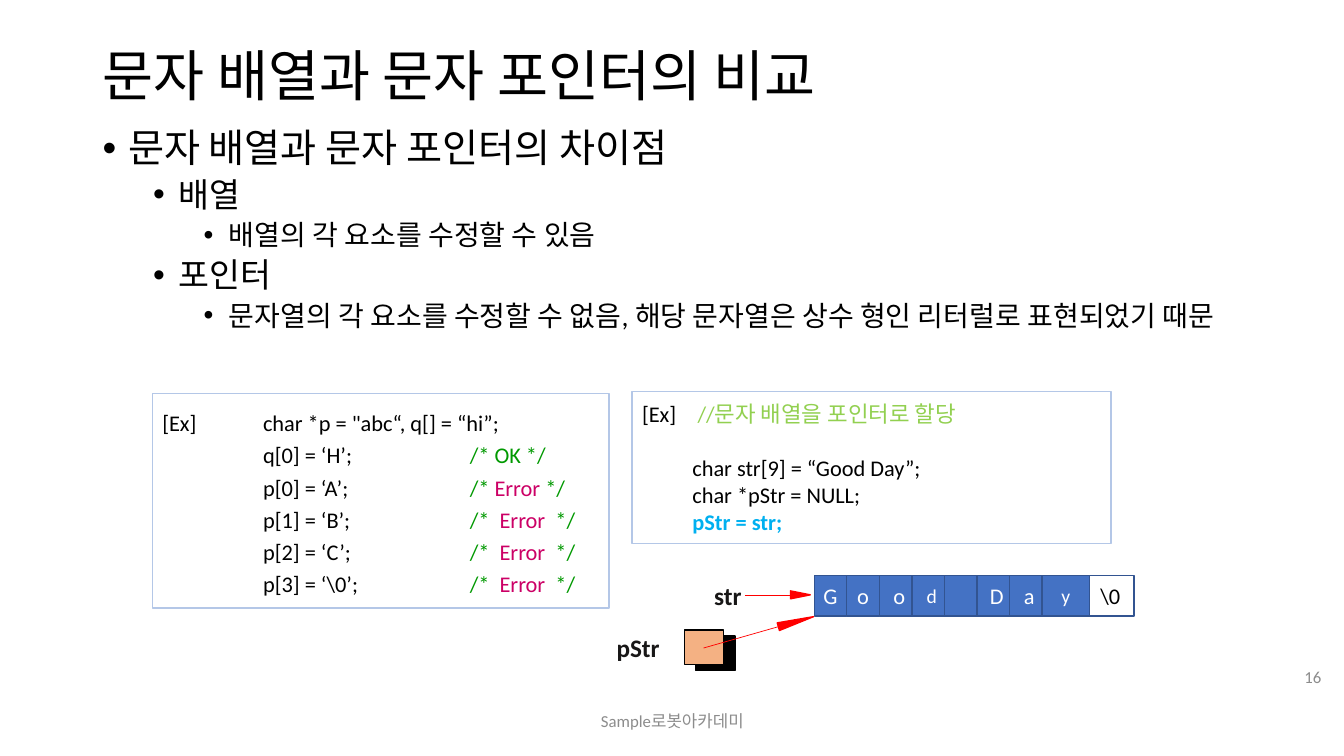
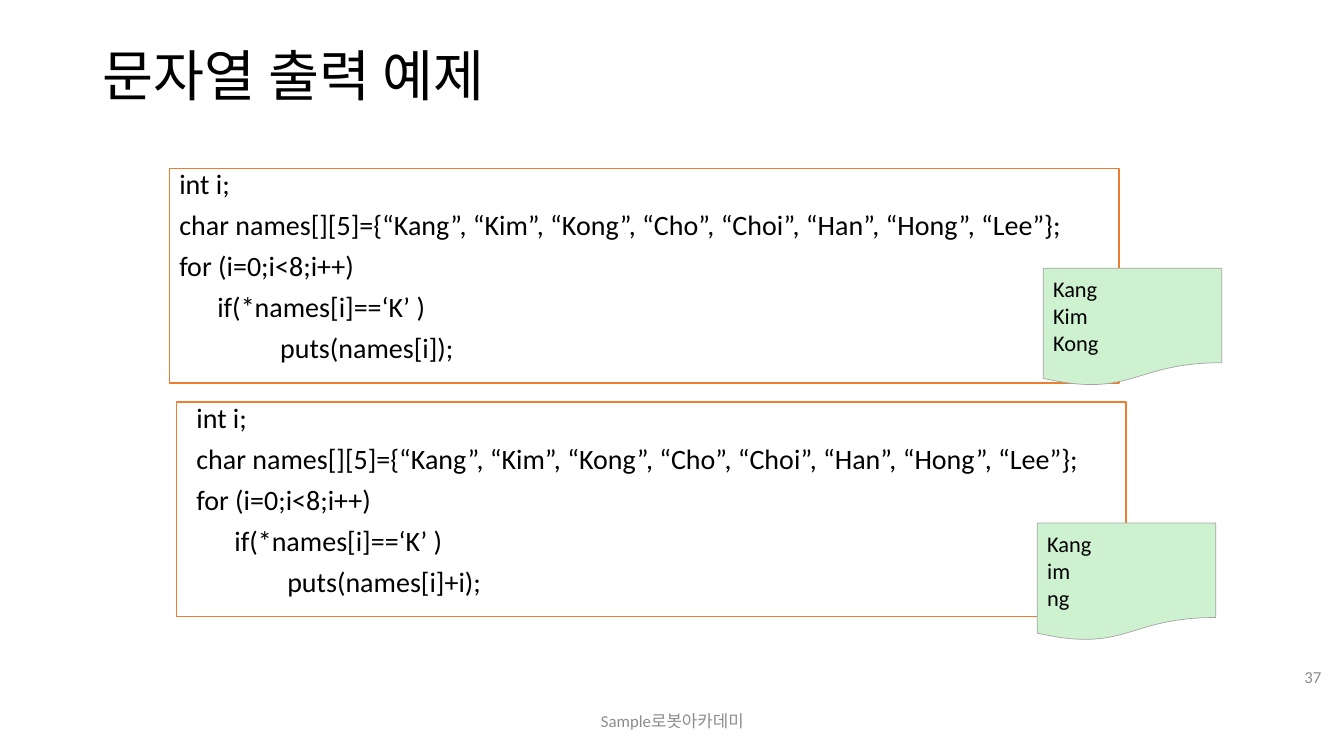
from dataclasses import dataclass
from math import atan2, cos, degrees, sin

from lxml.etree import SubElement as Sub
from pptx import Presentation
from pptx.dml.color import RGBColor as RGB
from pptx.enum.shapes import MSO_CONNECTOR as Link, MSO_SHAPE as Form
from pptx.enum.text import MSO_ANCHOR as Anchor, MSO_AUTO_SIZE as Auto, PP_ALIGN as Align
from pptx.oxml.ns import qn
from pptx.util import Cm, Pt


@dataclass(frozen=True)
class Theme:
    """Hold the colours, type sizes and font of the deck."""
    font: str = "Calibri"
    ink: str = "000000"
    white: str = "FFFFFF"
    gray: str = "8C8C8C"
    label: str = "181717"
    green: str = "009900"
    pink: str = "CC0066"
    lime: str = "92D050"
    sky: str = "00B0F0"
    frame: str = "B4C7E7"
    blue: str = "4472C4"
    navy: str = "325491"
    peach: str = "F4B183"
    red: str = "FF0000"
    orange: str = "ED7D31"
    mint: str = "CEF2CF"
    silver: str = "A5A5A5"
    title: float = 39.6
    levels: tuple = (28, 24, 20)
    code: int = 20
    name: int = 18
    text: int = 16
    small: int = 14
    foot: int = 12


THEME = Theme()


def style(para, size, color=THEME.ink, bold=False):
    """Format every run of a paragraph."""
    for run in para.runs:
        font = run.font
        font.name, font.size, font.bold = THEME.font, Pt(size), bold
        font.color.rgb = RGB.from_string(color)


def write(frame, lines, size, color=THEME.ink, bold=False, align=Align.LEFT,
          anchor=Anchor.MIDDLE, space=None, before=0):
    """Fill a text frame with equally styled lines."""
    frame.text = "\n".join(lines)
    frame.word_wrap, frame.auto_size = True, Auto.NONE
    frame.vertical_anchor = anchor
    for row, para in enumerate(frame.paragraphs):
        para.alignment = align
        if space:
            para.line_spacing = space
        if row and before:
            para.space_before = Pt(before)
        style(para, size, color, bold)
    return frame.paragraphs


def tint(para, parts, size):
    """Replace a paragraph by runs of several colours."""
    para.clear()
    for text, color in parts:
        run = para.add_run()
        run.text = text
        run.font.name, run.font.size = THEME.font, Pt(size)
        run.font.color.rgb = RGB.from_string(color)


def indent(para, left, hang=0):
    """Set the left margin and hanging indent of a paragraph."""
    props = para._p.get_or_add_pPr()
    props.set("marL", str(Cm(left)))
    props.set("indent", str(-Cm(hang)))
    return props


def stops(para, *places):
    """Add left tab stops to a paragraph."""
    tabs = Sub(para._p.get_or_add_pPr(), qn("a:tabLst"))
    for place in places:
        Sub(tabs, qn("a:tab"), pos=str(Cm(place)), algn="l")


def label(slide, at, text, size, color, **more):
    """Add a one-line text box."""
    frame = slide.shapes.add_textbox(*map(Cm, at)).text_frame
    write(frame, [text], size, color, **more)


def box(slide, at, line, fill=None, form=Form.RECTANGLE, width=1):
    """Add a preset shape without a shadow."""
    shape = slide.shapes.add_shape(form, *map(Cm, at))
    shape.shadow.inherit = False
    if fill:
        shape.fill.solid()
        shape.fill.fore_color.rgb = RGB.from_string(fill)
    else:
        shape.fill.background()
    shape.line.color.rgb = RGB.from_string(line)
    shape.line.width = Pt(width)
    return shape


def arrow(slide, start, tip, head, width=0.2):
    """Draw a thin line that ends in a long slim head."""
    (left, top), (right, low) = start, tip
    angle = atan2(low - top, right - left)
    base = right - head * cos(angle), low - head * sin(angle)
    line = slide.shapes.add_connector(Link.STRAIGHT, *map(Cm, start + base))
    Sub(line._element.spPr, qn("a:effectLst"))
    line.line.color.rgb = RGB.from_string(THEME.red)
    line.line.width = Pt(0.5)
    mid_x, mid_y = (base[0] + right) / 2, (base[1] + low) / 2
    at = mid_x - width / 2, mid_y - head / 2, width, head
    point = box(slide, at, THEME.red, THEME.red, Form.ISOSCELES_TRIANGLE)
    point.rotation = degrees(angle) + 90


def page(deck, title, number):
    """Add a slide with its title, footer and page number."""
    slide = deck.slides.add_slide(deck.slide_layouts[5])
    head = slide.shapes.title
    head.left, head.top, head.width, head.height = map(Cm, (2.34, 1.02, 29.21, 1.9))
    write(head.text_frame, [title], THEME.title, space=0.9)
    label(slide, (11.23, 17.65, 11.43, 1.02), "Sample로봇아카데미",
          THEME.foot, THEME.gray, align=Align.CENTER)
    label(slide, (31.98, 16.54, 1.57, 1.02), str(number),
          THEME.foot, THEME.gray, align=Align.RIGHT)
    return slide


def outline(slide, at, items):
    """Add a bulleted list of (level, text) items."""
    frame = slide.shapes.add_textbox(*map(Cm, at)).text_frame
    paras = write(frame, [text for _, text in items], THEME.text,
                  anchor=Anchor.TOP, space=0.9, before=5)
    for para, (level, _) in zip(paras, items):
        para.level = level
        props = indent(para, 0.64 + 1.27 * level, 0.64)
        Sub(props, qn("a:buFont"), typeface="Arial")
        Sub(props, qn("a:buChar"), char="•")
        style(para, THEME.levels[level])


def edits(slide):
    """Add the code box that shows which edits are allowed."""
    green, pink = THEME.green, THEME.pink
    rows = [
        ("[Ex]\tchar *p = \"abc“, q[] = “hi”;", []),
        ("\tq[0] = ‘H’;\t", [("/* OK */", green)]),
    ]
    for spot, (sign, gap) in enumerate([("A", " "), ("B", "  "), ("C", "  "), ("\\0", "  ")]):
        note = [("/*" + gap, green), ("Error", pink), (gap + "*/", green)]
        rows.append((f"\tp[{spot}] = ‘{sign}’;\t", note))
    frame = box(slide, (3.84, 9.91, 11.51, 5.41), THEME.frame).text_frame
    paras = write(frame, [code for code, _ in rows], THEME.text, space=1.2)
    for para, (code, note) in zip(paras, rows):
        stops(para, 2.54, 7.75)
        tint(para, [(code, THEME.ink)] + note, THEME.text)


def assign(slide):
    """Add the code box that points a pointer at an array."""
    frame = box(slide, (15.93, 9.86, 12.07, 3.84), THEME.frame).text_frame
    lines = ["[Ex]", "char str[9] = “Good Day”;", "char *pStr = NULL;", "pStr = str;"]
    first, *code = write(frame, lines, THEME.text)
    stops(first, 1.4)
    tint(first, [("[Ex]\t", THEME.ink), ("//문자 배열을 포인터로 할당", THEME.lime)], THEME.text)
    for para in code:
        indent(para, 1.27)
    code[0].space_before = Pt(19.5)
    style(code[-1], THEME.text, THEME.sky, True)


def cell(slide, left, width, sign, size, fill, color):
    """Add one cell of the character array."""
    frame = box(slide, (left, 14.5, width, 1.02), THEME.navy, fill).text_frame
    frame.margin_left = frame.margin_right = 0
    if sign:
        write(frame, [sign], size, color, align=Align.CENTER)


def memory(slide):
    """Draw the array cells and the two names that refer to them."""
    cell(slide, 27.38, 1.2, "\\0", THEME.text, THEME.white, THEME.ink)
    widths = (0.82, 0.82, 1, 1, 1, 1, 1, 1.2)
    for spot, (sign, width) in enumerate(zip(("G", "o", "o", "d", "", "D", "a", "y"), widths)):
        size = THEME.small if sign in ("d", "y") else THEME.text
        cell(slide, 20.52 + 0.82 * spot, width, sign, size, THEME.blue, THEME.white)
    for left, top, fill in ((17.53, 16.03, THEME.ink), (17.25, 15.88, THEME.peach)):
        box(slide, (left, top, 0.99, 0.86), THEME.ink, fill)
    for left, top, name in ((15.29, 15.8, "pStr"), (17.75, 14.5, "str")):
        label(slide, (left, top, 1.9, 1.02), name, THEME.name, THEME.label, bold=True)
    arrow(slide, (18.77, 14.99), (20.42, 14.99), 0.5)
    arrow(slide, (17.73, 16.33), (20.5, 15.54), 0.92)


def sample(slide, left, top, call, inset=0):
    """Add a code box with the loop that prints names."""
    lines = [
        "int i;",
        "char names[][5]={“Kang”, “Kim”, “Kong”, “Cho”, “Choi”, “Han”, “Hong”, “Lee”};",
        "for (i=0;i<8;i++)",
        "      if(*names[i]==‘K’ )",
        call,
    ]
    shape = box(slide, (left, top, 23.93, 5.41), THEME.orange, THEME.white)
    paras = write(shape.text_frame, lines, THEME.code, anchor=Anchor.TOP, space=0.8, before=10)
    for para in paras[:-1]:
        indent(para, inset)
    indent(paras[-1], 2.54)


def result(slide, left, top, lines):
    """Add a sheet with printed output."""
    sheet = box(slide, (left, top, 4.5, 2.97), THEME.silver, THEME.mint,
                Form.FLOWCHART_DOCUMENT, 0.5)
    write(sheet.text_frame, lines, THEME.text)


def main():
    """Build and save the deck."""
    deck = Presentation()
    deck.slide_width, deck.slide_height = Cm(33.87), Cm(19.05)

    slide = page(deck, "문자 배열과 문자 포인터의 비교", 16)
    outline(slide, (2.34, 3.12, 29.21, 14.05), [
        (0, "문자 배열과 문자 포인터의 차이점"),
        (1, "배열"),
        (2, "배열의 각 요소를 수정할 수 있음"),
        (1, "포인터"),
        (2, "문자열의 각 요소를 수정할 수 없음, 해당 문자열은 상수 형인 리터럴로 표현되었기 때문"),
    ])
    edits(slide)
    assign(slide)
    memory(slide)

    slide = page(deck, "문자열 출력 예제", 37)
    sample(slide, 4.27, 4.24, "puts(names[i]);")
    sample(slide, 4.45, 10.13, "puts(names[i]+i);", 0.25)
    result(slide, 26.29, 6.76, ["Kang", "Kim", "Kong"])
    result(slide, 26.14, 13.18, ["Kang", "im", "ng"])

    deck.save("out.pptx")


if __name__ == "__main__":
    main()
